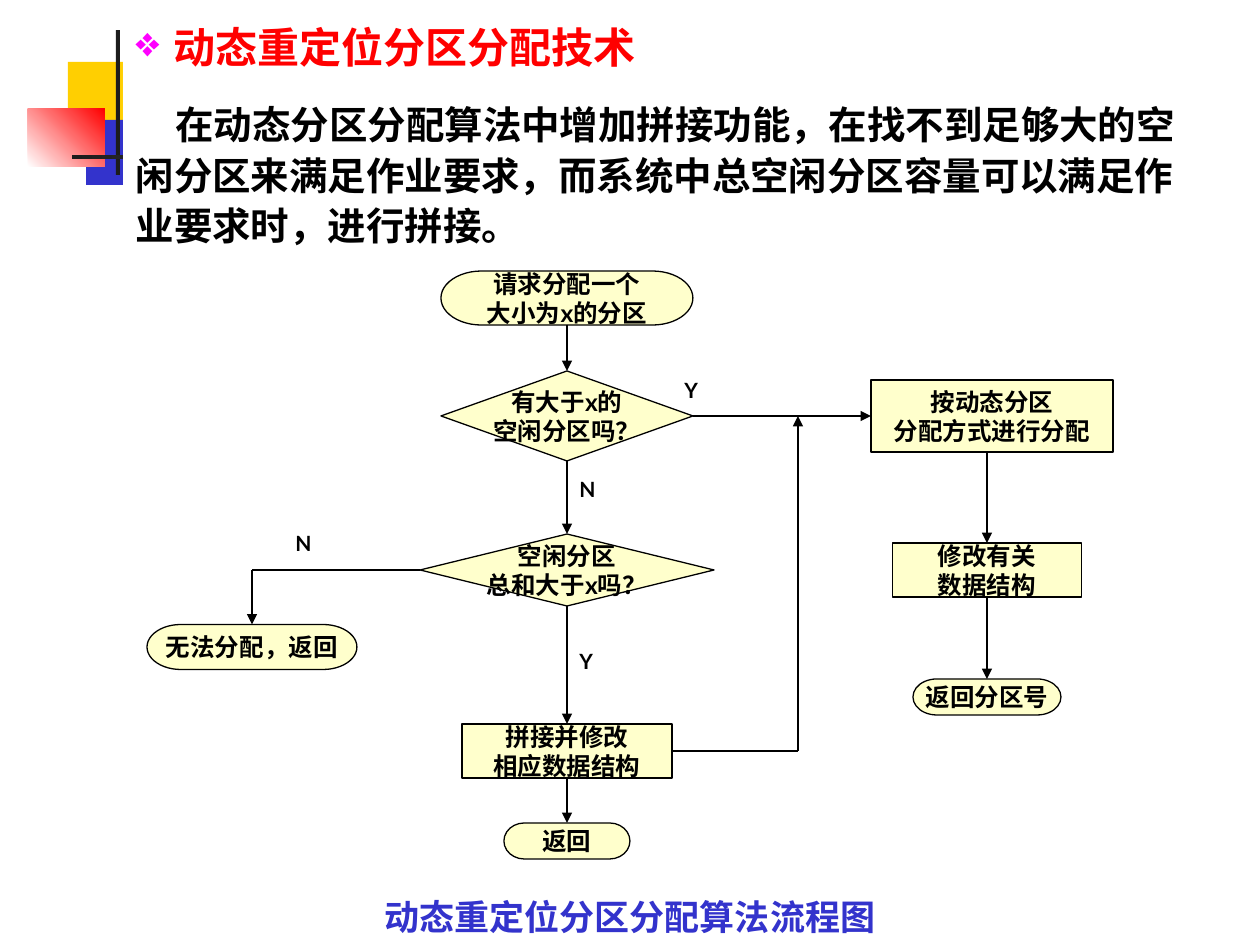
import pptx
import pptx.util
import pptx.dml.color
import pptx.enum.shapes
import pptx.enum.text
import pptx.oxml
import pptx.oxml.ns

RGB = pptx.dml.color.RGBColor
BLACK = RGB(0x00, 0x00, 0x00)
WHITE = RGB(0xFF, 0xFF, 0xFF)
CREAM = RGB(0xFF, 0xFF, 0xCC)
RED = RGB(0xFF, 0x00, 0x00)
MAGENTA = RGB(0xFF, 0x00, 0xFF)
BLUE = RGB(0x33, 0x33, 0xCC)
GOLD = RGB(0xFF, 0xCF, 0x01)
DARK = RGB(0x1C, 0x1C, 0x1C)

LATO = "Lato"
NOTO = "Noto Sans CJK SC"
SCALE = 914400 / 126

KINDS = pptx.enum.shapes.MSO_SHAPE
TERMINATOR = KINDS.FLOWCHART_TERMINATOR
DECISION = KINDS.FLOWCHART_DECISION
PROCESS = KINDS.FLOWCHART_PROCESS
ALIGN = pptx.enum.text.PP_ALIGN
ANCHOR = pptx.enum.text.MSO_ANCHOR

HEADING = "动态重定位分区分配技术"
INTRO = ("在动态分区分配算法中增加拼接功能，在找不到足够大的空闲分区来满足作业要求，"
         "而系统中总空闲分区容量可以满足作业要求时，进行拼接。")
CAPTION = "动态重定位分区分配算法流程图"

# left, top, width, height, colours, gradient angle
DECORATIONS = [
    (68, 62, 60, 65, [GOLD], 0),
    (121, 62, 45, 65, [GOLD, WHITE], 0),
    (86, 120, 58, 65, [BLUE], 0),
    (28, 109, 77, 58, [WHITE, RED], 45),
    (116, 30, 4, 145, [DARK], 0),
    (72, 155, 1134, 4, [DARK, WHITE], 0),
]

# kind, centre x, centre y, width, height, text
NODES = {
    "request": (TERMINATOR, 567, 298, 252, 54, "请求分配一个\n大小为x的分区"),
    "large enough": (DECISION, 567, 416, 252, 90, "有大于x的\n空闲分区吗？"),
    "total enough": (DECISION, 567, 570, 294, 72, "空闲分区\n总和大于x吗？"),
    "compact": (PROCESS, 567, 751, 210, 54, "拼接并修改\n相应数据结构"),
    "return": (TERMINATOR, 567, 841, 126, 36, "返回"),
    "allocate": (PROCESS, 992, 416, 242, 72, "按动态分区\n分配方式进行分配"),
    "update": (PROCESS, 987, 570, 189, 54, "修改有关\n数据结构"),
    "return number": (TERMINATOR, 987, 697, 148, 36, "返回分区号"),
    "fail": (TERMINATOR, 252, 647, 210, 45, "无法分配，返回"),
}
DOWN_LINKS = [
    ("request", "large enough"), ("large enough", "total enough"),
    ("total enough", "compact"), ("compact", "return"),
    ("allocate", "update"), ("update", "return number"),
]
LABELS = [("Y", 672, 371), ("Y", 567, 642), ("N", 567, 470), ("N", 283, 524)]
MERGE_X = 798


def px(value):
    return pptx.util.Emu(round(value * SCALE))


def style(paragraph, size, color, latin=LATO):
    for span in paragraph.runs:
        span.font.size = pptx.util.Pt(size)
        span.font.bold = True
        span.font.color.rgb = color
        span.font.name = latin
        east = pptx.oxml.parse_xml(
            f'<a:ea {pptx.oxml.ns.nsdecls("a")} typeface="{LATO}"/>')
        span.font._element.find(pptx.oxml.ns.qn("a:latin")).addnext(east)


def add_text(left, top, width, height, text, size, color):
    box = page.shapes.add_textbox(px(left), px(top), px(width), px(height))
    box.text_frame.word_wrap = True
    box.text_frame.text = text
    style(box.text_frame.paragraphs[0], size, color)


def add_decoration(left, top, width, height, colors, angle):
    block = page.shapes.add_shape(KINDS.RECTANGLE, px(left), px(top), px(width), px(height))
    block.shadow.inherit = False
    block.line.fill.background()
    if len(colors) == 1:
        block.fill.solid()
        block.fill.fore_color.rgb = colors[0]
        return
    block.fill.gradient()
    block.fill.gradient_angle = angle
    for stop, color, position in zip(block.fill.gradient_stops, colors, (0, 1)):
        stop.color.rgb = color
        stop.position = position


def add_node(kind, x, y, width, height, text):
    node = page.shapes.add_shape(
        kind, px(x - width / 2), px(y - height / 2), px(width), px(height))
    node.shadow.inherit = False
    node.fill.solid()
    node.fill.fore_color.rgb = CREAM
    node.line.color.rgb = BLACK
    node.line.width = pptx.util.Pt(0.75)
    frame = node.text_frame
    frame.word_wrap = False
    frame.vertical_anchor = ANCHOR.MIDDLE
    frame.text = text
    for para in frame.paragraphs:
        para.alignment = ALIGN.CENTER
        style(para, 14, BLACK)


def add_line(start, end, arrow=True):
    line = page.shapes.add_connector(
        pptx.enum.shapes.MSO_CONNECTOR.STRAIGHT, *map(px, start + end))
    line.line.color.rgb = BLACK
    line.line.width = pptx.util.Pt(0.75)
    names = pptx.oxml.ns.nsdecls("a")
    if arrow:
        line.line._get_or_add_ln().append(
            pptx.oxml.parse_xml(f'<a:tailEnd {names} type="triangle"/>'))
    line._element.spPr.append(pptx.oxml.parse_xml(f"<a:effectLst {names}/>"))


def edge(name, side):
    _, x, y, width, height, _ = NODES[name]
    return {"left": (x - width / 2, y), "right": (x + width / 2, y),
            "top": (x, y - height / 2), "bottom": (x, y + height / 2)}[side]


def fill_placeholder(box, top, height, text, size, color, margin, indent, bullets):
    box.left, box.top, box.width, box.height = map(px, (123, top, 1081, height))
    box.fill.solid()
    box.fill.fore_color.rgb = WHITE
    frame = box.text_frame
    frame.text = text
    frame.word_wrap = True
    frame.auto_size = pptx.enum.text.MSO_AUTO_SIZE.NONE
    frame.vertical_anchor = ANCHOR.TOP
    para = frame.paragraphs[0]
    para.alignment = ALIGN.LEFT
    para.space_before = pptx.util.Pt(0)
    para.line_spacing = 1.0
    style(para, size, color, NOTO)
    properties = para._p.get_or_add_pPr()
    properties.set("marL", str(px(margin)))
    properties.set("indent", str(px(indent)))
    for bullet in bullets:
        properties.append(pptx.oxml.parse_xml(bullet))
    page.shapes._spTree.append(box._element)
    return para


deck = pptx.Presentation()
deck.slide_width, deck.slide_height = px(1260), px(945)
page = deck.slides.add_slide(deck.slide_layouts[1])
title, body = page.placeholders

for decoration in DECORATIONS:
    add_decoration(*decoration)
add_text(372, 889, 525, 54, CAPTION, 20, BLUE)
for node in NODES.values():
    add_node(*node)
for text, left, top in LABELS:
    add_text(left, top, 53, 38, text, 12, BLACK)

for upper, lower in DOWN_LINKS:
    end = edge(lower, "top")
    add_line((end[0], edge(upper, "bottom")[1]), end)
add_line(edge("large enough", "right"), edge("allocate", "left"))
for source, x, end_y in [("compact", MERGE_X, NODES["allocate"][2]),
                         ("total enough", *edge("fail", "top"))]:
    start = edge(source, "right" if x > NODES[source][1] else "left")
    corner = (x, start[1])
    add_line(start, corner, arrow=False)
    add_line(corner, (x, end_y))

names = pptx.oxml.ns.nsdecls("a")
fill_placeholder(title, 15, 75, HEADING, 24, RED, 38, -38, [
    f'<a:buClr {names}><a:srgbClr val="{MAGENTA}"/></a:buClr>',
    f'<a:buChar {names} char="❖"/>'])
intro = fill_placeholder(body, 90, 163, INTRO, 22, BLACK, 0, 40, [f"<a:buNone {names}/>"])
intro.line_spacing = 1.1

deck.save("out.pptx")
